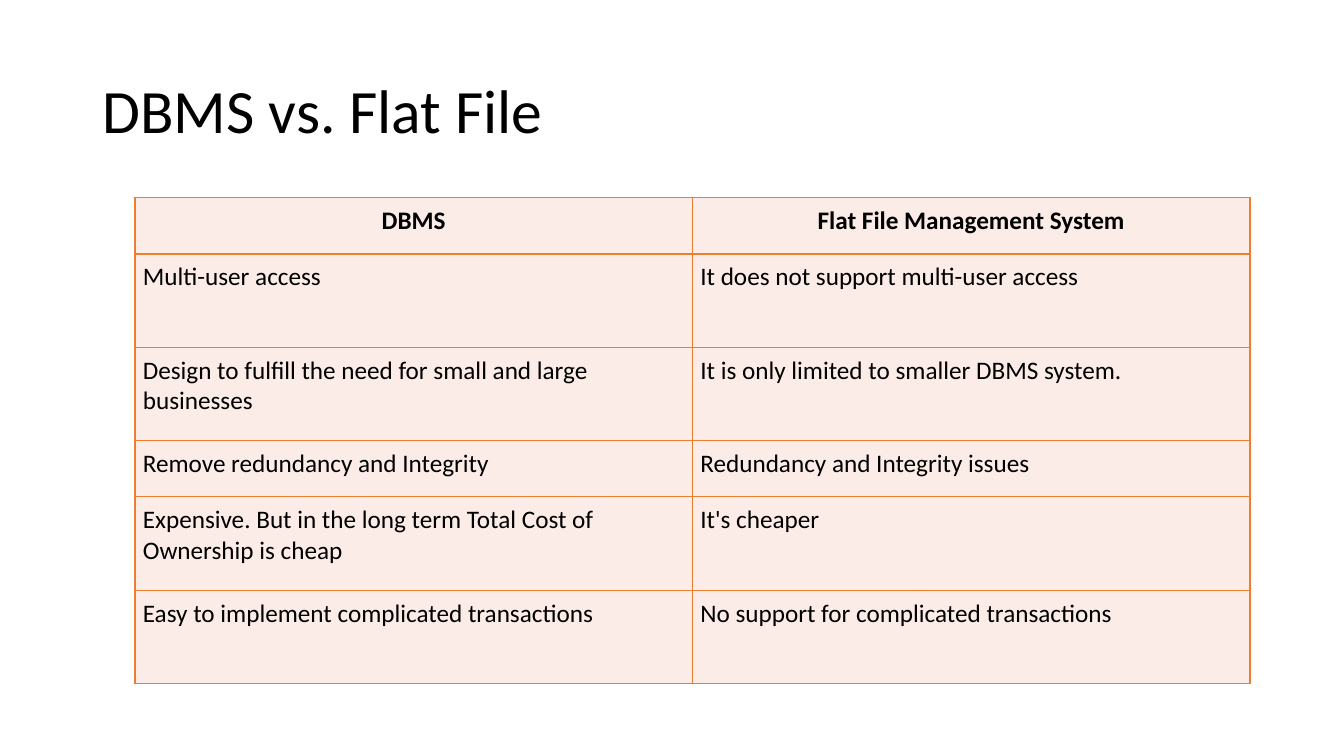
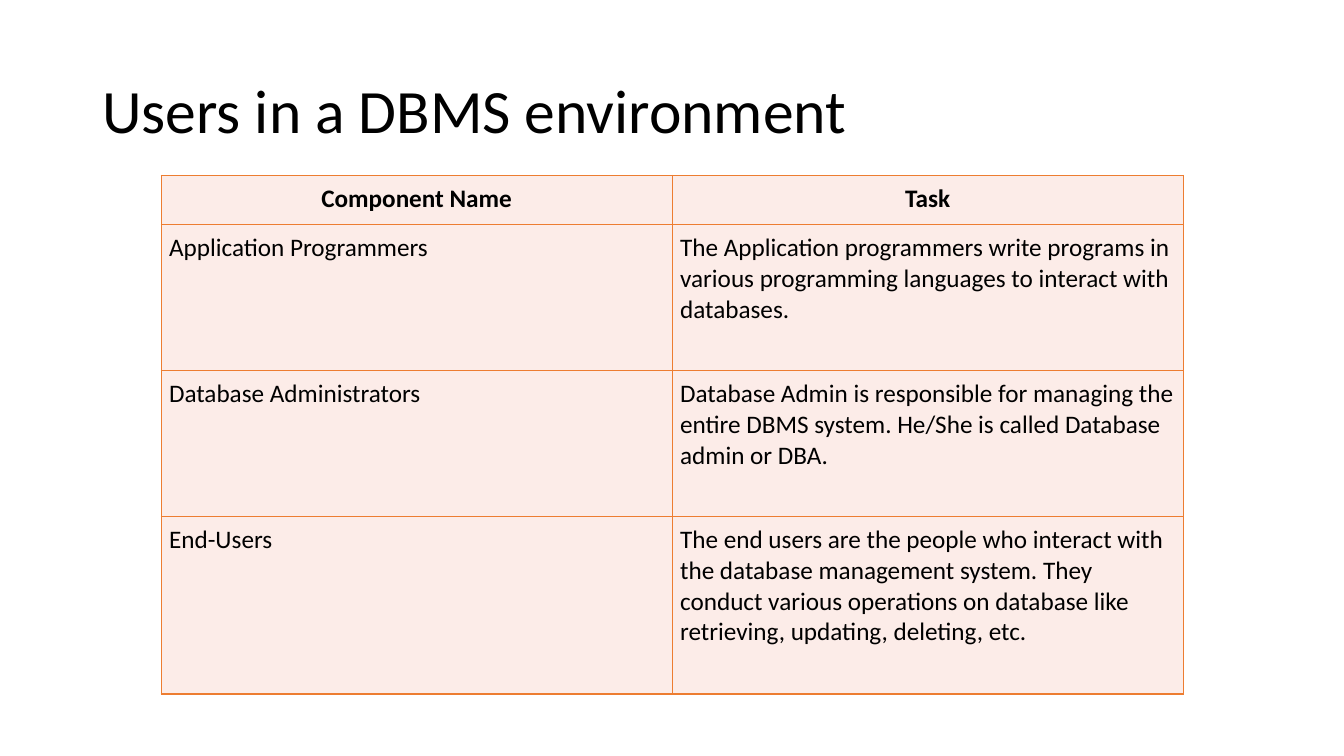
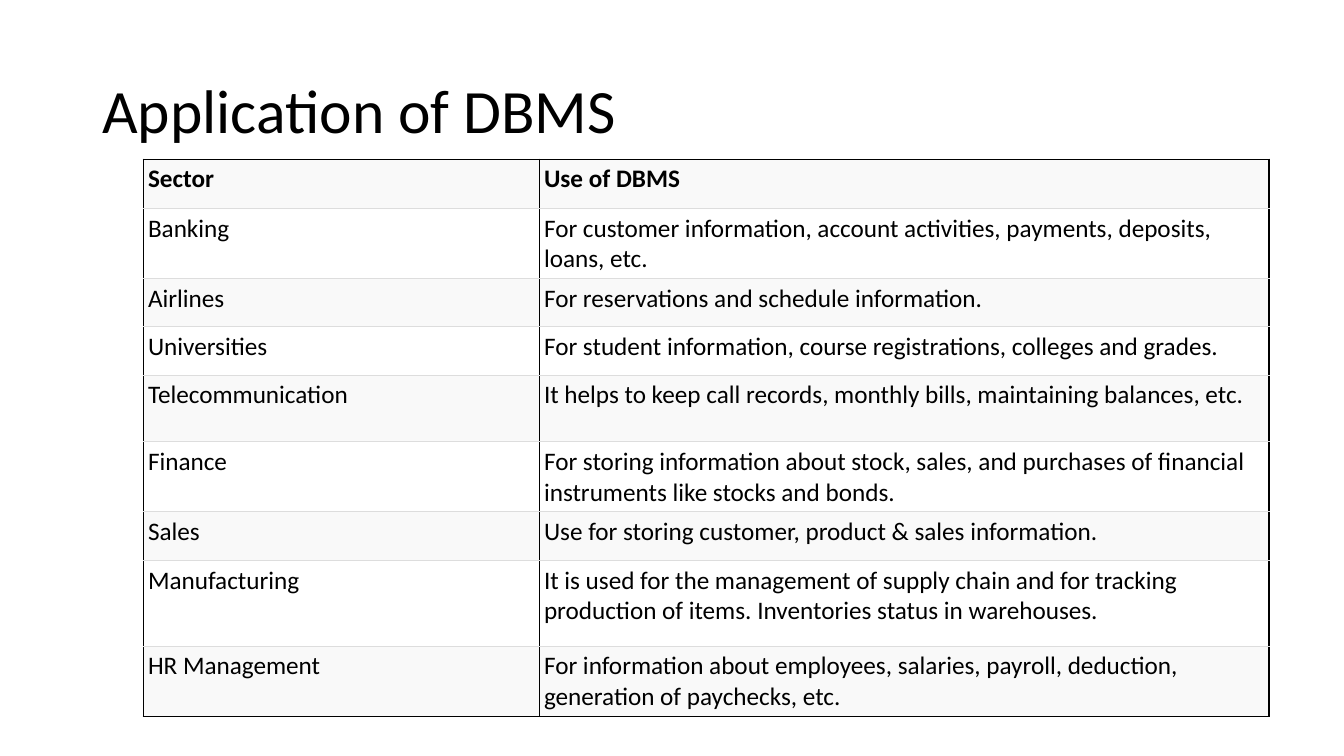
from dataclasses import dataclass

from lxml.etree import SubElement
from pptx import Presentation
from pptx.dml.color import RGBColor
from pptx.enum.text import MSO_ANCHOR as Anchor, PP_ALIGN as Align
from pptx.oxml.ns import qn
from pptx.util import Cm, Pt

# Shared look
FONT = "Calibri"
BLACK = RGBColor(0x00, 0x00, 0x00)
WHITE = RGBColor(0xFF, 0xFF, 0xFF)
ORANGE = RGBColor(0xED, 0x7D, 0x31)
PEACH = RGBColor(0xFC, 0xEC, 0xE8)
PALE_GREY = RGBColor(0xF9, 0xF9, 0xF9)
RULE_GREY = RGBColor(0xDD, 0xDD, 0xDD)
TITLE_BOX = (Cm(2.33), Cm(1.01), Cm(29.21), Cm(3.68))


@dataclass(frozen=True)
class TableStyle:
    fills: tuple        # row fills, used in turn
    outer: tuple        # colour and points of the frame and column lines
    inner: tuple        # colour and points of the lines between rows
    inset: float        # cell margin in cm
    header_align: Align


PEACH_STYLE = TableStyle((PEACH,), (ORANGE, 1), (ORANGE, 1), 0.2, Align.CENTER)
STRIPED_STYLE = TableStyle((PALE_GREY, WHITE), (BLACK, 1), (RULE_GREY, 0.75),
                           0.12, Align.LEFT)

# Table wording
COMPARISON = [
    ("DBMS", "Flat File Management System"),
    ("Multi-user access", "It does not support multi-user access"),
    ("Design to fulfill the need for small and large businesses",
     "It is only limited to smaller DBMS system."),
    ("Remove redundancy and Integrity", "Redundancy and Integrity issues"),
    ("Expensive. But in the long term Total Cost of Ownership is cheap",
     "It's cheaper"),
    ("Easy to implement complicated transactions",
     "No support for complicated transactions"),
]
USERS = [
    ("Component Name", "Task"),
    ("Application Programmers",
     "The Application programmers write programs in various programming "
     "languages to interact with databases."),
    ("Database Administrators",
     "Database Admin is responsible for managing the entire DBMS system. "
     "He/She is called Database admin or DBA."),
    ("End-Users",
     "The end users are the people who interact with the database management "
     "system. They conduct various operations on database like retrieving, "
     "updating, deleting, etc."),
]
SECTORS = [
    ("Sector", "Use of DBMS"),
    ("Banking", "For customer information, account activities, payments, "
                "deposits, loans, etc."),
    ("Airlines", "For reservations and schedule information."),
    ("Universities", "For student information, course registrations, colleges "
                     "and grades."),
    ("Telecommunication", "It helps to keep call records, monthly bills, "
                          "maintaining balances, etc."),
    ("Finance", "For storing information about stock, sales, and purchases of "
                "financial instruments like stocks and bonds."),
    ("Sales", "Use for storing customer, product & sales information."),
    ("Manufacturing", "It is used for the management of supply chain and for "
                      "tracking production of items. Inventories status in "
                      "warehouses."),
    ("HR Management", "For information about employees, salaries, payroll, "
                      "deduction, generation of paychecks, etc."),
]


def write(frame, text, size=18, bold=False, align=Align.LEFT, spacing=1.0):
    """Put one formatted paragraph into a text frame."""
    frame.word_wrap = True
    para = frame.paragraphs[0]
    para.alignment = align
    para.line_spacing = spacing
    span = para.add_run()
    span.text = text
    span.font.name = FONT
    span.font.size = Pt(size)
    span.font.bold = bold
    span.font.color.rgb = BLACK


def add_title(page, text, box):
    frame = page.shapes.add_textbox(*box).text_frame
    frame.vertical_anchor = Anchor.MIDDLE
    write(frame, text, size=44, spacing=0.9)


def set_borders(cell, **sides):
    """Draw cell borders; sides are L, R, T, B in that order."""
    properties = cell._tc.get_or_add_tcPr()
    for side, (color, points) in sides.items():
        line = SubElement(properties, qn(f"a:ln{side}"), w=str(Pt(points)))
        fill = SubElement(line, qn("a:solidFill"))
        SubElement(fill, qn("a:srgbClr"), val=str(color))


def add_grid(page, rows, left, top, widths, heights, style):
    """Place a table at left, top with column widths and row heights in cm."""
    table = page.shapes.add_table(
        len(rows), len(widths), Cm(left), Cm(top),
        Cm(sum(widths)), Cm(sum(heights))).table
    table.first_row = table.horz_banding = False
    for column, width in zip(table.columns, widths):
        column.width = Cm(width)
    last = len(rows) - 1
    for index, (texts, height) in enumerate(zip(rows, heights)):
        table.rows[index].height = Cm(height)
        header = index == 0
        for cell, text in zip(table.rows[index].cells, texts):
            cell.margin_left = cell.margin_right = Cm(style.inset)
            cell.margin_top = cell.margin_bottom = Cm(style.inset)
            set_borders(cell, L=style.outer, R=style.outer,
                        T=style.outer if header else style.inner,
                        B=style.outer if index == last else style.inner)
            cell.fill.solid()
            cell.fill.fore_color.rgb = style.fills[index % len(style.fills)]
            write(cell.text_frame, text, bold=header,
                  align=style.header_align if header else Align.LEFT)


def add_table_page(deck, title, **grid):
    page = deck.slides.add_slide(deck.slide_layouts[6])
    add_title(page, title, TITLE_BOX)
    add_grid(page, **grid)


def main():
    deck = Presentation()
    deck.slide_width, deck.slide_height = Cm(33.87), Cm(19.05)

    add_table_page(deck, "DBMS vs. Flat File", rows=COMPARISON,
                   left=3.4, top=4.98, widths=[14.05] * 2,
                   heights=[1.42, 2.35, 2.35, 1.42, 2.35, 2.35],
                   style=PEACH_STYLE)
    add_table_page(deck, "Users in a DBMS environment", rows=USERS,
                   left=4.06, top=4.42, widths=[12.88] * 2,
                   heights=[1.24, 3.68, 3.68, 4.47], style=PEACH_STYLE)
    add_table_page(deck, "Application of DBMS", rows=SECTORS,
                   left=3.61, top=4.01, widths=[9.98, 18.39],
                   heights=[1.24, 1.68, 1.22, 1.22, 1.68, 1.68, 1.22, 2.16, 1.68],
                   style=STRIPED_STYLE)

    deck.save("out.pptx")


if __name__ == "__main__":
    main()
